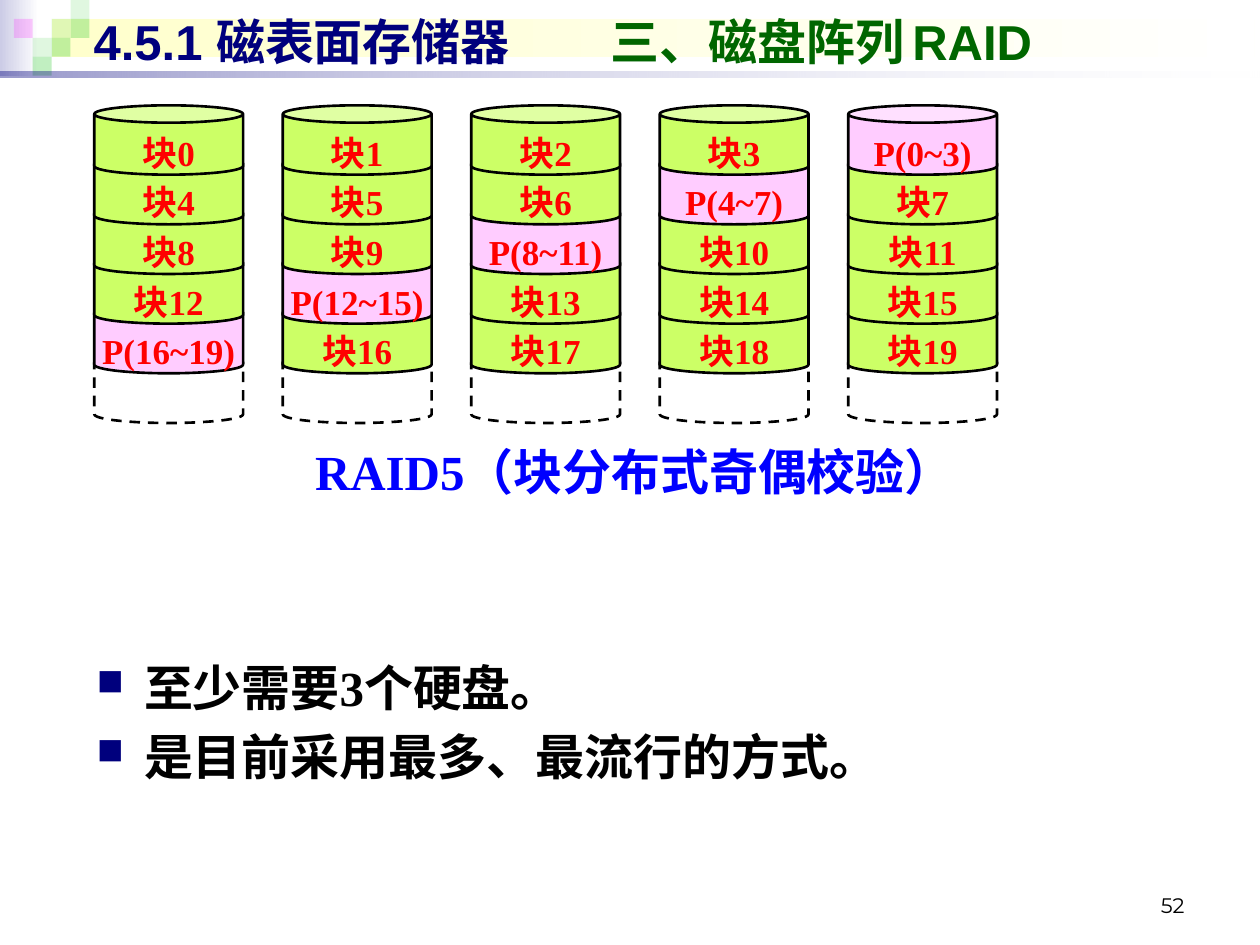
from lxml import etree
from pptx import Presentation
from pptx.dml.color import RGBColor
from pptx.enum import dml, shapes, text
from pptx.oxml import ns
from pptx.util import Pt

NAVY = RGBColor(0x00, 0x00, 0x7D)
LAVENDER = RGBColor(0xCC, 0xCC, 0xE6)
CREAM = RGBColor(0xFF, 0xFF, 0xCC)
WHITE = RGBColor(0xFF, 0xFF, 0xFF)
BLACK = RGBColor(0x00, 0x00, 0x00)
GREEN = RGBColor(0x33, 0xCC, 0x33)
DARK_GREEN = RGBColor(0x00, 0x66, 0x00)
MAGENTA = RGBColor(0xFF, 0x00, 0xFF)
LIME = RGBColor(0xCC, 0xFF, 0x66)
PINK = RGBColor(0xFF, 0xCC, 0xFF)
RED = RGBColor(0xFF, 0x00, 0x00)
BLUE = RGBColor(0x00, 0x00, 0xFF)

SERIF = "Times New Roman"
DISKS = 5
STRIPES = 5


def add_xml(parent, tag, **attributes):
    return etree.SubElement(parent, ns.qn(tag), attributes)


def set_opacity(shape, *percents):
    """Give the fill colours of a shape, in order, their opacity."""
    for color, percent in zip(shape.element.spPr.iter(ns.qn("a:srgbClr")), percents):
        add_xml(color, "a:alpha", val=str(percent * 1000))


def add_plain_shape(page, kind, left, top, width, height):
    shape = page.shapes.add_shape(kind, Pt(left), Pt(top), Pt(width), Pt(height))
    shape.shadow.inherit = False
    return shape


def add_band(page, left, top, width, height, start):
    """A bar that fades from the start colour to white."""
    band = add_plain_shape(page, shapes.MSO_SHAPE.RECTANGLE, left, top, width, height)
    band.line.fill.background()
    band.fill.gradient()
    band.fill.gradient_angle = 0
    for stop, color, position in zip(band.fill.gradient_stops, (start, WHITE), (0, 1)):
        stop.color.rgb = color
        stop.position = position
    return band


def add_header(page, left, top, width):
    add_band(page, left, top, 22.3, 43.2, LAVENDER)
    add_band(page, left + 29.5, top + 10.8, width - 32.5, 21.6, CREAM)
    side = 10.8
    tiles = [
        (2, 1, GREEN, 15), (3, 0, GREEN, 15), (3, 1, GREEN, 30), (1, 2, GREEN, 15),
        (0, 1, MAGENTA, 20), (2, 2, GREEN, 30), (1, 3, GREEN, 30),
    ]
    for column, row, color, opacity in tiles:
        tile = add_plain_shape(page, shapes.MSO_SHAPE.RECTANGLE,
                               left + 7.9 + column * side, top + row * side, side, side)
        tile.line.fill.background()
        tile.fill.solid()
        tile.fill.fore_color.rgb = color
        set_opacity(tile, opacity)
    rule = add_band(page, left, top + 41, width, 3.6, NAVY)
    set_opacity(rule, 40, 10)


def set_font(font, name, size, color, bold=True):
    font.name, font.size, font.bold = name, Pt(size), bold
    font.color.rgb = color


def add_frame(page, left, top, width, height, anchor):
    box = page.shapes.add_textbox(Pt(left), Pt(top), Pt(width), Pt(height))
    box.text_frame.word_wrap = True
    box.text_frame.vertical_anchor = anchor
    return box.text_frame


def add_title(page, left, top, width, height):
    frame = add_frame(page, left, top, width, height, text.MSO_ANCHOR.MIDDLE)
    para = frame.paragraphs[0]
    tabs = add_xml(para._p.get_or_add_pPr(), "a:tabLst")
    add_xml(tabs, "a:tab", pos=str(Pt(295.5)), algn="l")
    parts = [("4.5.1 磁表面存储器\t", NAVY, 28), ("三、磁盘阵列", DARK_GREEN, 28),
             (" ", DARK_GREEN, 20), ("RAID", DARK_GREEN, 28)]
    for words, color, size in parts:
        span = para.add_run()
        span.text = words
        set_font(span.font, "Arial", size, color)


def add_line_of_text(page, left, top, width, height, words, align, anchor, **font):
    frame = add_frame(page, left, top, width, height, anchor)
    para = frame.paragraphs[0]
    para.text = words
    para.alignment = align
    set_font(para.font, **font)
    return para


def add_can(page, left, top, width, height):
    can = add_plain_shape(page, shapes.MSO_SHAPE.CAN, left, top, width, height)
    can.adjustments[0] = 0.25
    can.line.color.rgb = BLACK
    can.line.width = Pt(1.5)
    return can


def add_block(page, left, top, width, height, label, color):
    can = add_can(page, left, top, width, height)
    can.fill.solid()
    can.fill.fore_color.rgb = color
    frame = can.text_frame
    frame.word_wrap = False
    frame.vertical_anchor = text.MSO_ANCHOR.MIDDLE
    frame.margin_top, frame.margin_bottom = Pt(9), Pt(0)
    para = frame.paragraphs[0]
    para.text = label
    para.alignment = text.PP_ALIGN.CENTER
    set_font(para.font, SERIF, 20, RED)


def block_content(disk, stripe):
    """Label and colour; parity moves one disk to the left on each stripe."""
    parity_disk = DISKS - 1 - stripe
    first = stripe * (DISKS - 1)
    if disk == parity_disk:
        return f"P({first}~{first + DISKS - 2})", PINK
    return f"块{first + disk - (disk > parity_disk)}", LIME


def add_disk_array(page, left, top, width, height):
    can_width, can_height = 85, 39.6
    column_step = (width - can_width) / (DISKS - 1)
    row_step = (height - can_height) / STRIPES
    for disk in range(DISKS):
        x = left + disk * column_step
        rest = add_can(page, x, top + STRIPES * row_step, can_width, can_height)
        rest.fill.background()
        rest.line.dash_style = dml.MSO_LINE.DASH
        for stripe in reversed(range(STRIPES)):
            add_block(page, x, top + stripe * row_step, can_width, can_height,
                      *block_content(disk, stripe))


def add_bullets(page, left, top, width, height, lines):
    frame = add_frame(page, left, top, width, height, text.MSO_ANCHOR.TOP)
    for index, line in enumerate(lines):
        para = frame.add_paragraph() if index else frame.paragraphs[0]
        para.text = line
        if index:
            para.space_before = Pt(5.6)
        props = para._p.get_or_add_pPr()
        props.set("marL", str(Pt(27)))
        props.set("indent", str(Pt(-27)))
        add_xml(add_xml(props, "a:buClr"), "a:srgbClr", val=str(NAVY))
        add_xml(props, "a:buSzPct", val="75000")
        add_xml(props, "a:buChar", char="■")
        set_font(para.font, SERIF, 28, BLACK)


def main():
    deck = Presentation()
    deck.slide_width, deck.slide_height = Pt(720), Pt(540)
    page = deck.slides.add_slide(deck.slide_layouts[6])
    add_header(page, 0, 0, 720)
    add_line_of_text(page, 516, 492, 168, 36, "52", text.PP_ALIGN.RIGHT,
                     text.MSO_ANCHOR.BOTTOM, name="Montserrat", size=12,
                     color=BLACK, bold=False)
    add_title(page, 46.5, 3.6, 648, 39.6)
    add_disk_array(page, 53.9, 60.2, 515.8, 181.5)
    caption = add_line_of_text(page, 31, 252.7, 663, 39.6, "RAID5（块分布式奇偶校验）",
                               text.PP_ALIGN.CENTER, text.MSO_ANCHOR.TOP,
                               name=SERIF, size=28, color=BLUE)
    caption.line_spacing = 0.9
    add_bullets(page, 48.2, 372.2, 646.6, 102.2,
                ["至少需要3个硬盘。", "是目前采用最多、最流行的方式。"])
    deck.save("out.pptx")


if __name__ == "__main__":
    main()
